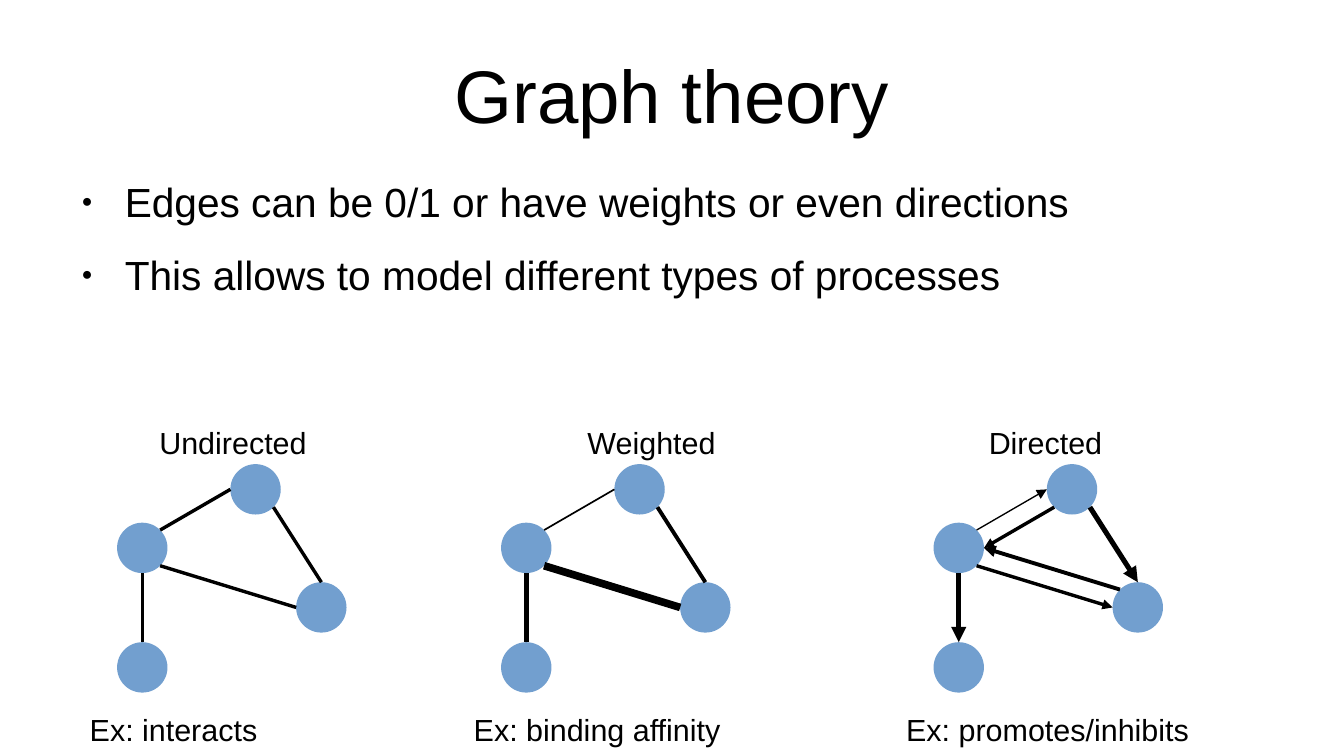
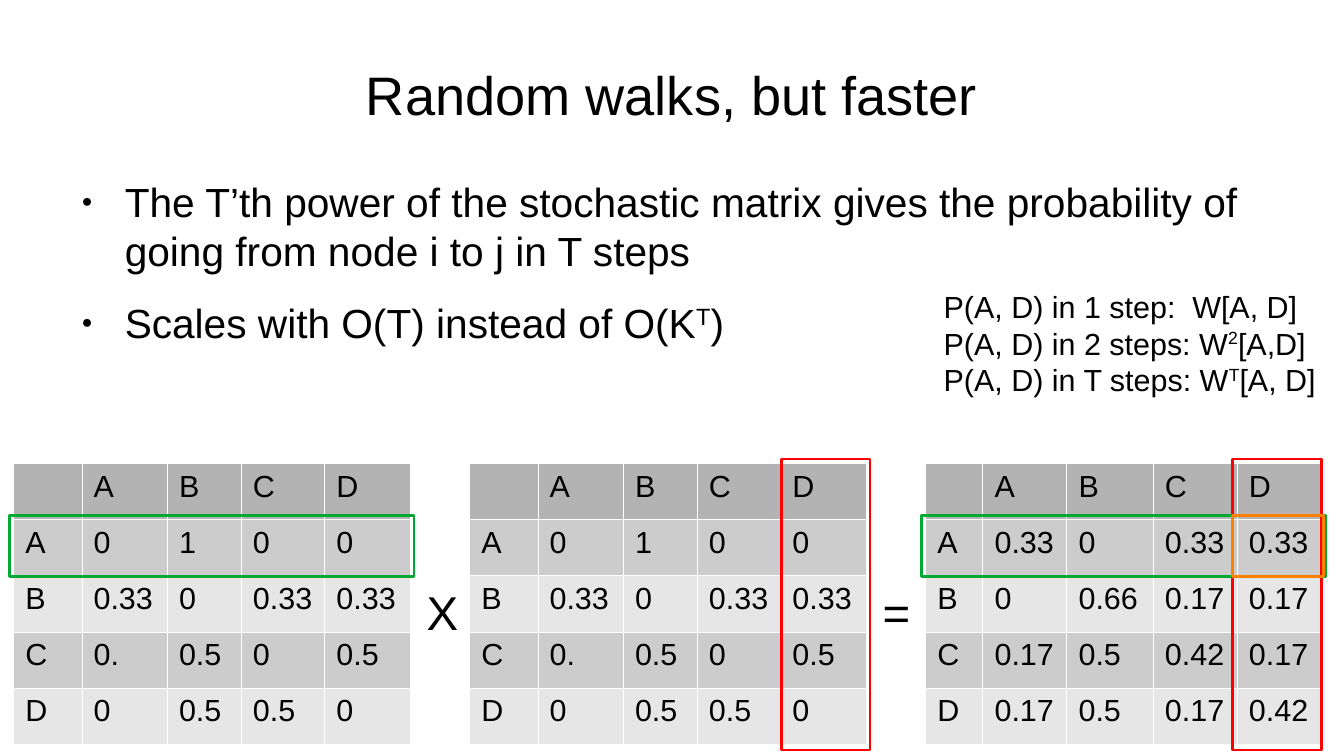
from dataclasses import dataclass
from math import sqrt

from lxml import etree
from pptx import Presentation
from pptx.dml.color import RGBColor
from pptx.enum.shapes import MSO_CONNECTOR, MSO_SHAPE
from pptx.enum.text import MSO_ANCHOR, PP_ALIGN
from pptx.oxml.ns import qn
from pptx.util import Cm, Pt

STRAIGHT = MSO_CONNECTOR.STRAIGHT
OVAL = MSO_SHAPE.OVAL
RECTANGLE = MSO_SHAPE.RECTANGLE
TOP = MSO_ANCHOR.TOP
MIDDLE = MSO_ANCHOR.MIDDLE
LEFT = PP_ALIGN.LEFT
CENTER = PP_ALIGN.CENTER
TITLE_ONLY = 5


@dataclass(frozen=True)
class Theme:
    font: str = "Arial"
    ink: str = "000000"
    node: str = "729FCF"
    header: str = "B3B3B3"
    bands: tuple = ("CCCCCC", "E6E6E6")
    border: str = "FFFFFF"
    row_mark: str = "00A933"
    column_mark: str = "FF0000"
    cell_mark: str = "FF8000"
    title: int = 44
    long_title: int = 32
    operator: int = 28
    body: int = 24
    label: int = 18


THEME = Theme()

DIAMETER = 1.05
GRAPH_TOP = 9.67
NODES = {"left": (0, 1.22), "low": (0, 3.71), "right": (3.73, 2.46), "top": (2.36, 0)}
DIAGONAL = sqrt(0.5)
SIDES = {
    "n": (0, -1), "s": (0, 1), "e": (1, 0), "w": (-1, 0),
    "ne": (DIAGONAL, -DIAGONAL), "nw": (-DIAGONAL, -DIAGONAL),
    "se": (DIAGONAL, DIAGONAL),
    "sw": (-DIAGONAL, DIAGONAL),
}
EDGES = (
    ("left", "ne", "top", "w"),
    ("left", "se", "right", "w"),
    ("top", "se", "right", "n"),
    ("left", "s", "low", "n"),
)
RETURN_EDGES = (("top", "sw", "left", "e"), ("right", "nw", "left", "e"))
GRAPHS = (
    ("Undirected", 3.07, "Ex: interacts", 2.44, EDGES, (0, 0, 0, 0), False),
    ("Weighted", 11.99, "Ex: binding affinity", 10.44, EDGES, (1, 4.5, 2.3, 3), False),
    ("Directed", 20.35, "Ex: promotes/inhibits", 19.45,
     EDGES + RETURN_EDGES, (0.79, 0, 3, 3, 0, 2.3), True),
)

NAMES = "ABCD"
MATRIX_LEFT, MATRIX_TOP, MATRIX_STEP, ROW_HEIGHT = 0.28, 9.65, 9.5, 1.17
STEP_COLUMNS = (1.42, 1.78, 1.54, 1.74, 1.79)
RESULT_COLUMNS = (1.19, 1.75, 1.8, 1.75, 1.78)
STEP_VALUES = (
    ("0", "1", "0", "0"),
    ("0.33", "0", "0.33", "0.33"),
    ("0.", "0.5", "0", "0.5"),
    ("0", "0.5", "0.5", "0"),
)
RESULT_VALUES = (
    ("0.33", "0", "0.33", "0.33"),
    ("0", "0.66", "0.17", "0.17"),
    ("0.17", "0.5", "0.42", "0.17"),
    ("0.17", "0.5", "0.17", "0.42"),
)


def add_element(parent, tag, **attributes):
    element = etree.SubElement(parent, qn(tag))
    for name, value in attributes.items():
        element.set(name, str(value))
    return element


def set_bullet(paragraph):
    properties = paragraph._p.get_or_add_pPr()
    properties.set("marL", str(Cm(1.2)))
    properties.set("indent", str(Cm(-0.9)))
    add_element(add_element(properties, "a:buClr"), "a:srgbClr", val=THEME.ink)
    add_element(properties, "a:buSzPct", val=45000)
    add_element(properties, "a:buFont", typeface=THEME.font)
    add_element(properties, "a:buChar", char="●")


def set_tab(paragraph, position):
    tabs = add_element(paragraph._p.get_or_add_pPr(), "a:tabLst")
    add_element(tabs, "a:tab", pos=Cm(position), algn="l")


def write_text(frame, text, size=THEME.label, align=LEFT, anchor=TOP,
               bullets=False, space_before=0, tab=None, margins=(0.25, 0.13)):
    frame.word_wrap = True
    frame.vertical_anchor = anchor
    frame.margin_left = frame.margin_right = Cm(margins[0])
    frame.margin_top = frame.margin_bottom = Cm(margins[1])
    for index, line in enumerate(text.split("\n")):
        paragraph = frame.add_paragraph() if index else frame.paragraphs[0]
        if bullets:
            set_bullet(paragraph)
        if tab and "\t" in line:
            set_tab(paragraph, tab)
        paragraph.alignment = align
        paragraph.space_before = Pt(space_before if index else 0)
        for part, piece in enumerate(line.split("^")):
            if not piece:
                continue
            run = paragraph.add_run()
            run.text = piece
            run.font.name = THEME.font
            run.font.size = Pt(size)
            run.font.color.rgb = RGBColor.from_string(THEME.ink)
            if part % 2:
                run.font._element.set("baseline", "33000")


class Deck:
    def __init__(self):
        self.presentation = Presentation()
        self.presentation.slide_width = Cm(28)
        self.presentation.slide_height = Cm(15.75)
        self.slide = None

    def add_slide(self, title, size):
        layout = self.presentation.slide_layouts[TITLE_ONLY]
        self.slide = self.presentation.slides.add_slide(layout)
        shape = self.slide.shapes.title
        shape.left, shape.top = Cm(1.4), Cm(0.63)
        shape.width, shape.height = Cm(25.2), Cm(2.63)
        write_text(shape.text_frame, title, size=size, align=CENTER,
                   anchor=MIDDLE, margins=(0, 0))

    def add_text(self, text, left, top, width, height, **text_format):
        shape = self.slide.shapes.add_textbox(Cm(left), Cm(top), Cm(width), Cm(height))
        write_text(shape.text_frame, text, **text_format)

    def add_body(self, text):
        self.add_text(text, 1.4, 3.68, 25.4, 9.14, size=THEME.body, bullets=True,
                      space_before=14.2, margins=(0, 0))

    def add_node(self, left, top):
        shape = self.slide.shapes.add_shape(
            OVAL, Cm(left), Cm(top), Cm(DIAMETER), Cm(DIAMETER))
        shape.shadow.inherit = False
        shape.fill.solid()
        shape.fill.fore_color.rgb = RGBColor.from_string(THEME.node)
        shape.line.fill.background()

    def add_edge(self, start, end, weight, arrow):
        connector = self.slide.shapes.add_connector(
            STRAIGHT, *(Cm(value) for value in start + end))
        connector.line.width = Pt(weight)
        connector.line.color.rgb = RGBColor.from_string(THEME.ink)
        if arrow:
            add_element(connector.line._get_or_add_ln(), "a:tailEnd", type="triangle")
        add_element(connector._element.spPr, "a:effectLst")

    def add_graph(self, left, edges, weights, arrow):
        def end_point(node, side):
            return tuple(
                origin + offset + DIAMETER / 2 * (1 + direction)
                for origin, offset, direction
                in zip((left, GRAPH_TOP), NODES[node], SIDES[side]))

        for x, y in NODES.values():
            self.add_node(left + x, GRAPH_TOP + y)
        for (source, exit_side, target, entry_side), weight in zip(edges, weights):
            self.add_edge(end_point(source, exit_side), end_point(target, entry_side),
                          weight, arrow)

    def add_matrix(self, left, columns, values):
        rows = [("", *NAMES)] + [(name, *row) for name, row in zip(NAMES, values)]
        frame = self.slide.shapes.add_table(
            len(rows), len(columns), Cm(left), Cm(MATRIX_TOP),
            Cm(sum(columns)), Cm(ROW_HEIGHT * len(rows)))
        table = frame.table
        table.first_row = table.horz_banding = False
        for column, width in zip(table.columns, columns):
            column.width = Cm(width)
        for row_index, row in enumerate(rows):
            table.rows[row_index].height = Cm(ROW_HEIGHT)
            colour = THEME.bands[(row_index - 1) % 2] if row_index else THEME.header
            for column_index, text in enumerate(row):
                self.format_cell(table.cell(row_index, column_index), text, colour)

    def format_cell(self, cell, text, colour):
        properties = cell._tc.get_or_add_tcPr()
        for side in ("a:lnL", "a:lnR", "a:lnT", "a:lnB"):
            border = add_element(properties, side, w=Pt(0.06))
            add_element(add_element(border, "a:solidFill"), "a:srgbClr", val=THEME.border)
        cell.fill.solid()
        cell.fill.fore_color.rgb = RGBColor.from_string(colour)
        cell.margin_left = cell.margin_right = Cm(0.25)
        cell.margin_top = cell.margin_bottom = Cm(0.13)
        write_text(cell.text_frame, text)

    def add_mark(self, left, top, width, height, colour):
        shape = self.slide.shapes.add_shape(
            RECTANGLE, Cm(left), Cm(top), Cm(width), Cm(height))
        shape.shadow.inherit = False
        shape.fill.background()
        shape.line.width = Pt(1.5)
        shape.line.color.rgb = RGBColor.from_string(colour)

    def mark_row(self, left):
        self.add_mark(left, 10.74, 8.43, 1.27, THEME.row_mark)

    def mark_column(self, left):
        self.add_mark(left, 9.56, 1.85, 6.07, THEME.column_mark)


def build_graph_theory(deck):
    deck.add_slide("Graph theory", THEME.title)
    deck.add_body("Edges can be 0/1 or have weights or even directions\n"
                  "This allows to model different types of processes")
    for heading, heading_left, example, left, edges, weights, arrow in GRAPHS:
        deck.add_graph(left, edges, weights, arrow)
        deck.add_text(heading, heading_left, 8.71, 3.8, 0.97)
        deck.add_text(example, left - 0.82, 14.68, 8.46, 1)


def build_random_walks(deck):
    deck.add_slide("Random walks, but faster", THEME.long_title)
    deck.add_body("The T’th power of the stochastic matrix gives the probability of "
                  "going from node i to j in T steps\n"
                  "Scales with O(T) instead of O(K^T^)")
    deck.add_text("P(A, D) in 1 step:\tW[A, D]\n"
                  "P(A, D) in 2 steps: W^2^[A,D]\n"
                  "P(A, D) in T steps: W^T^[A, D]", 19.41, 5.87, 8.5, 3.1, tab=5.18)
    matrices = ((STEP_COLUMNS, STEP_VALUES), (STEP_COLUMNS, STEP_VALUES),
                (RESULT_COLUMNS, RESULT_VALUES))
    for index, (columns, values) in enumerate(matrices):
        deck.add_matrix(MATRIX_LEFT + index * MATRIX_STEP, columns, values)
    for index, operator in enumerate("X="):
        deck.add_text(operator, 8.64 + index * MATRIX_STEP, 12.01, 1.22, 1.35,
                      size=THEME.operator)
    for left in (0.2, 19.2):
        deck.mark_row(left)
    for left in (16.28, 25.68):
        deck.mark_column(left)
    deck.add_mark(25.68, 10.74, 1.9, 1.27, THEME.cell_mark)


def main():
    deck = Deck()
    build_graph_theory(deck)
    build_random_walks(deck)
    deck.presentation.save("out.pptx")


if __name__ == "__main__":
    main()
